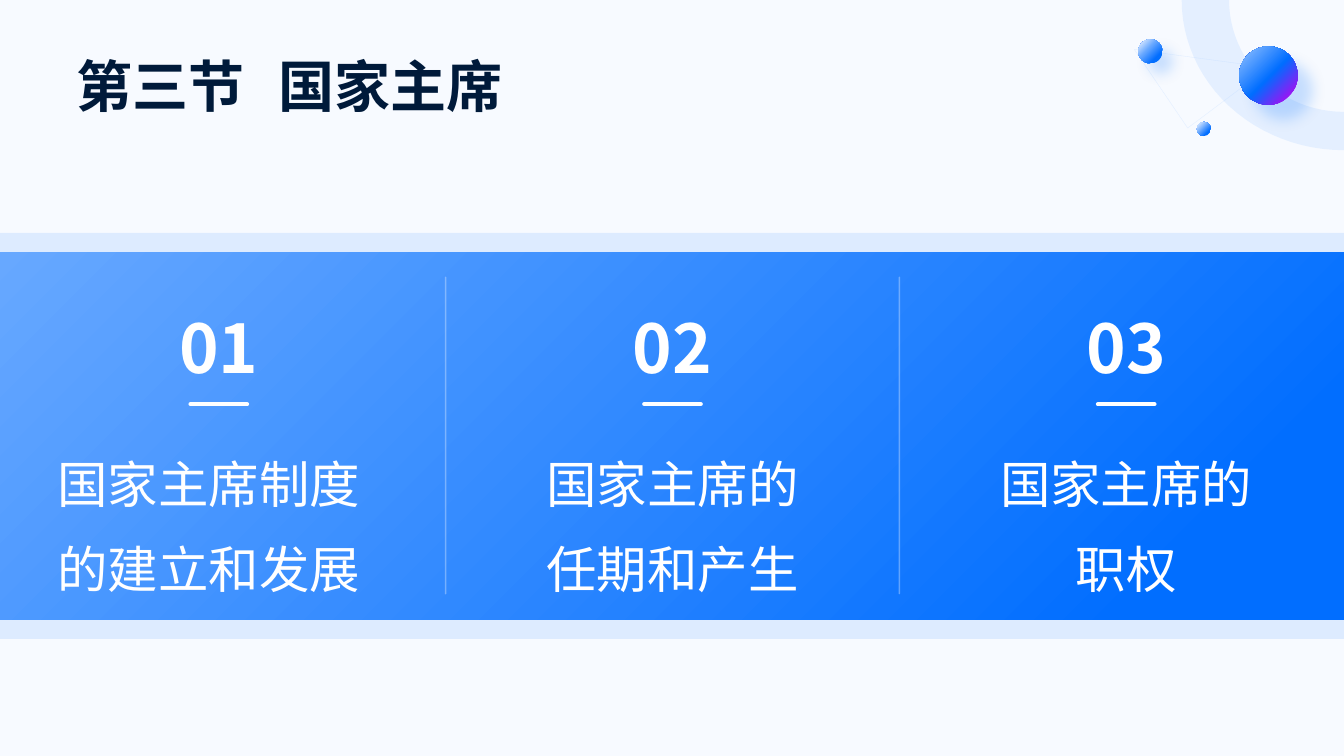
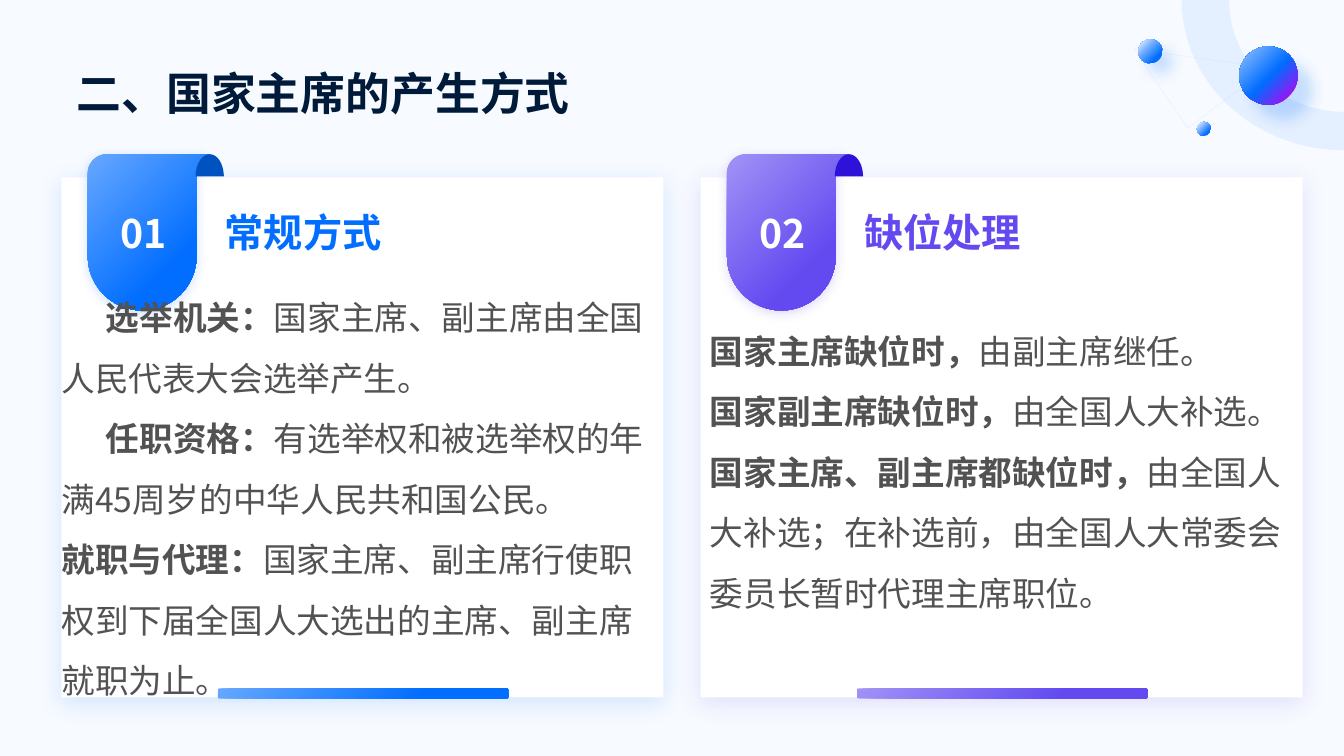
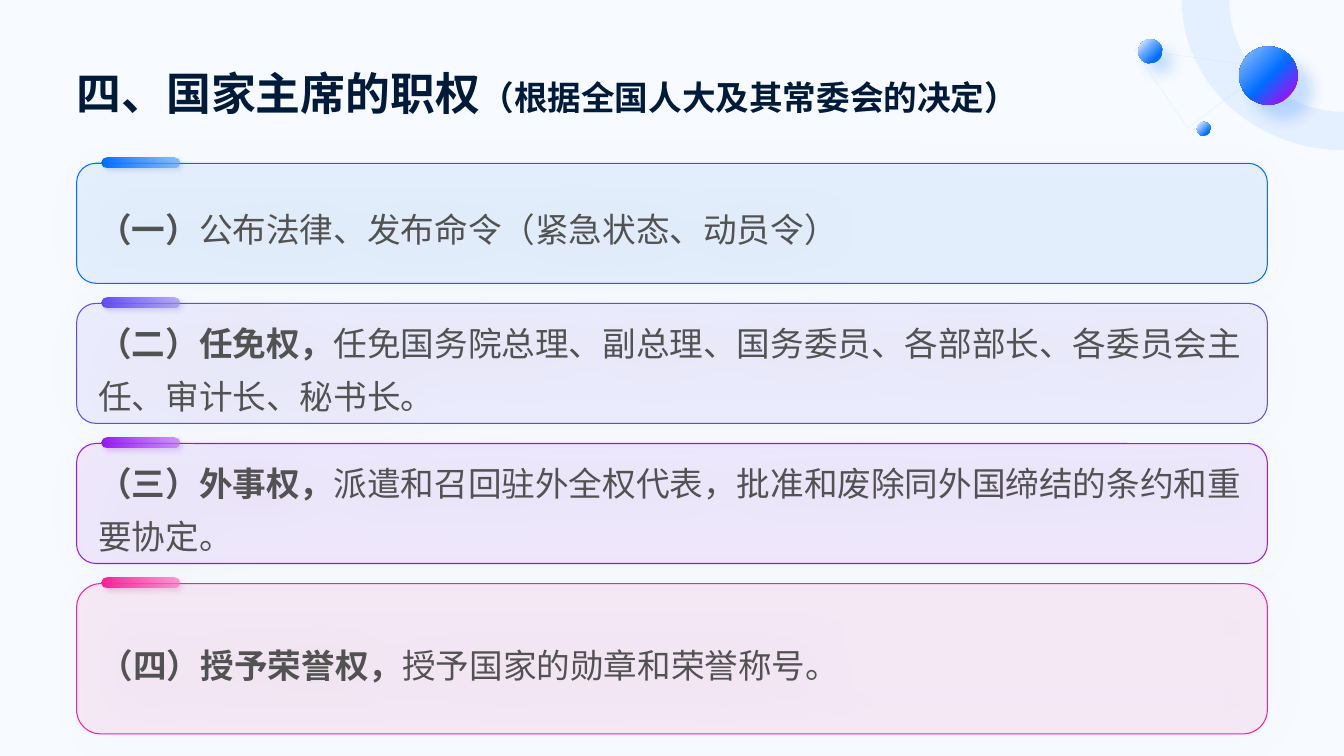
"""Build three slides on the office of state president."""
from math import cos, radians, sin

from pptx import Presentation
from pptx.dml.color import RGBColor
from pptx.enum.lang import MSO_LANGUAGE_ID
from pptx.enum.shapes import MSO_CONNECTOR, MSO_SHAPE
from pptx.enum.text import MSO_ANCHOR, PP_ALIGN
from pptx.oxml import parse_xml
from pptx.oxml.ns import nsdecls, qn
from pptx.util import Inches, Pt

RECT, ROUND, OVAL = MSO_SHAPE.RECTANGLE, MSO_SHAPE.ROUNDED_RECTANGLE, MSO_SHAPE.OVAL
LINE = MSO_CONNECTOR.STRAIGHT
MID, LOW = MSO_ANCHOR.MIDDLE, MSO_ANCHOR.BOTTOM
LEFT, MIDST = PP_ALIGN.LEFT, PP_ALIGN.CENTER
CHINESE = MSO_LANGUAGE_ID.SIMPLIFIED_CHINESE

WHITE = RGBColor(0xFF, 0xFF, 0xFF)
BLACK = RGBColor(0x00, 0x00, 0x00)
PAPER = RGBColor(0xF7, 0xFA, 0xFF)
NAVY = RGBColor(0x00, 0x1A, 0x3A)
GREY = RGBColor(0x52, 0x52, 0x52)
BLUE = RGBColor(0x01, 0x6E, 0xFF)
SKY = RGBColor(0x67, 0xA8, 0xFF)
MIST = RGBColor(0x99, 0xC5, 0xFF)
ICE = RGBColor(0xCC, 0xE2, 0xFF)
DEEP = RGBColor(0x00, 0x52, 0xC0)
IRIS = RGBColor(0x62, 0x4A, 0xF0)
LILAC = RGBColor(0xA1, 0x92, 0xF6)
INK = RGBColor(0x2F, 0x12, 0xD9)
PLUM = RGBColor(0x96, 0x18, 0xF4)
MAUVE = RGBColor(0xC0, 0x74, 0xF8)
GRAPE = RGBColor(0x72, 0x09, 0xC0)
PINK = RGBColor(0xF7, 0x21, 0x9B)
ROSE = RGBColor(0xFA, 0x7A, 0xC3)
WINE = RGBColor(0xCB, 0x07, 0x77)

SANS = "Noto Sans CJK SC"
BOLD = {"bold": True}
SPACE = nsdecls("a")
TINT = '<a:srgbClr val="{}"><a:alpha val="{:.0f}"/></a:srgbClr>'


def paint(shape, stops=(), angle=None, edge=None, glow=None):
    """Set fill stops, line and shadow; a gradient without angle is round."""
    props = shape.element.spPr
    if stops:
        tints = [(pos, TINT.format(hue, (dim or [100])[0] * 1000)) for pos, hue, *dim in stops]
        if len(tints) == 1:
            shape.fill.solid()
            tag, inner = "a:solidFill", tints[0][1]
        else:
            shape.fill.gradient()
            tag = "a:gradFill"
            inner = "".join(f'<a:gs pos="{pos * 1000}">{tint}</a:gs>' for pos, tint in tints)
            inner = f"<a:gsLst>{inner}</a:gsLst>"
            if angle is None:
                inner += '<a:path path="circle"><a:fillToRect r="100000" b="100000"/></a:path>'
            else:
                inner += f'<a:lin ang="{angle * 60000}" scaled="0"/>'
        props.replace(props.find(qn(tag)), parse_xml(f"<{tag} {SPACE}>{inner}</{tag}>"))
    if edge:
        hue, width, dim = edge
        shape.line.color.rgb = hue
        shape.line.width = Pt(width)
        tone = props.find(qn("a:ln")).find(qn("a:solidFill"))[0]
        tone.append(parse_xml(f'<a:alpha {SPACE} val="{dim * 1000}"/>'))
    else:
        shape.line.fill.background()
    cast = ""
    if glow:
        hue, dim, blur, dist, turn = glow
        cast = (f'<a:outerShdw blurRad="{Pt(blur)}" dist="{Pt(dist)}" dir="{turn * 60000}" '
                f'rotWithShape="0">{TINT.format(hue, dim * 1000)}</a:outerShdw>')
    props.append(parse_xml(f"<a:effectLst {SPACE}>{cast}</a:effectLst>"))


def write(shape, paras, size, hue, look=None, frame=None, lines=None, face=SANS):
    """Fill a shape with paragraphs, each a list of (text, format) runs."""
    body = shape.text_frame
    flat = {"margin_left": 0, "margin_top": 0, "margin_right": 0, "margin_bottom": 0}
    for key, value in {"word_wrap": True, **flat, **(frame or {})}.items():
        setattr(body, key, value)
    for spot, runs in enumerate(paras):
        para = body.add_paragraph() if spot else body.paragraphs[0]
        for key, value in {"alignment": LEFT, **(lines or {})}.items():
            setattr(para, key, value)
        for text, own in runs:
            run = para.add_run()
            run.text = text
            base = {"size": Pt(size), "name": face, "bold": False, "language_id": CHINESE}
            for key, value in {**base, **(look or {}), **own}.items():
                setattr(run.font, key, value)
            run.font.color.rgb = hue
            run.font.element.append(parse_xml(f'<a:ea {SPACE} typeface="{face}"/>')) if hasattr(
                run.font, "element") else run._r.rPr.append(
                parse_xml(f'<a:ea {SPACE} typeface="{face}"/>'))


ARCS = {
    "ring": [(13.33, 0, 1.61, 1.49, 180, 90), (13.33, 0, 1.14, 1.11, 90, 180)],
    "flag": [(0.19, 1.72, 0.19, 0.19, 180, 270), (1.21, 1.72, 0.13, 0.19, 270, 180),
             (0.54, 2.54, 0.54, 0.54, 0, 180)],
    "curl": [(1.21, 1.75, 0.14, 0.22, 180, 360)],
}
STEPS = 24
dots = {"wire": [(11.25, 0.49), (12.58, 0.67), (11.78, 1.27)]}
for name, arcs in ARCS.items():
    dots[name] = []
    for x, y, wide, high, start, end in arcs:
        for step in range(STEPS + 1):
            turn = radians(start + (end - start) * step / STEPS)
            dots[name].append((x + wide * cos(turn), y + high * sin(turn)))

deck = Presentation()
deck.slide_width, deck.slide_height = Inches(13.33), Inches(7.5)
master = deck.slide_master
master.background.fill.solid()
master.background.fill.fore_color.rgb = PAPER

TITLES = [
    (40, SANS, [("第三节\t国家主席", {})]),
    (32, "Arial", [("二、国家主席的产生方式", {})]),
    (32, "Arial", [("四、国家主席的职权", {}),
                   ("（根据全国人大及其常委会的决定）", {"size": Pt(24)})]),
]
slides = [deck.slides.add_slide(deck.slide_layouts[6]) for title in TITLES]
first, second, third = [slide.shapes for slide in slides]

decor = []
for name in ("wire", "ring"):
    points = [(Inches(x), Inches(y)) for x, y in dots[name]]
    pen = first.build_freeform(*points[0])
    pen.add_line_segments(points[1:], close=True)
    decor.append(pen.convert_to_shape())
wire, ring = decor
wire.fill.background()
paint(wire, edge=(ICE, 0.25, 50))
paint(ring, [(0, MIST, 20)])
BALLS = [
    (12.29, 0.46, 0.58, [(0, MIST), (52, BLUE), (85, PLUM)], (BLUE, 20, 10, 15, 45)),
    (11.29, 0.39, 0.24, [(12, ICE), (40, SKY), (75, BLUE)], (BLUE, 20, 10, 10, 45)),
    (11.87, 1.21, 0.14, [(13, ICE), (75, BLUE)], None),
]
for x, y, size, stops, glow in BALLS:
    ball = first.add_shape(OVAL, *map(Inches, (x, y, size, size)))
    paint(ball, stops, glow=glow)
    decor.append(ball)
for mark, shape in enumerate(decor, 20):
    shape.element.nvSpPr.cNvPr.set("id", str(mark))
    master.shapes.element.append(shape.element)

for slide, (size, face, runs) in zip(slides, TITLES):
    title = slide.shapes.add_textbox(*map(Inches, (0.76, 0.39, 11.81, 0.79)))
    write(title, [runs], size, NAVY, BOLD, {"vertical_anchor": LOW}, face=face)
    if "\t" in runs[0][0]:
        stop = f'<a:tabLst {SPACE}><a:tab pos="{Inches(2)}" algn="l"/></a:tabLst>'
        title.text_frame.paragraphs[0]._p.get_or_add_pPr().append(parse_xml(stop))

band = first.add_shape(RECT, *map(Inches, (0, 2.31, 13.33, 4.03)))
paint(band, [(0, BLUE, 10)])
strip = first.add_shape(RECT, *map(Inches, (0, 2.5, 13.33, 3.65)))
paint(strip, [(13, BLUE), (100, SKY)], 225)
TOPICS = [("国家主席制度的建立和发展", 0.42, 3.3), ("国家主席的任期和产生", 5.37, 2.6),
          ("国家主席的职权", 9.87, 2.6)]
for spot, (text, x, wide) in enumerate(TOPICS):
    left = 0.87 + 4.5 * spot
    rules = [(left + 1.02, 4.01, left + 1.58, 4.01, 3, 100)]
    if spot:
        rules.append((left - 0.95, 2.75, left - 0.95, 5.89, 1, 33))
    for *ends, width, dim in rules:
        rule = first.add_connector(LINE, *map(Inches, ends))
        paint(rule, edge=(WHITE, width, dim))
        rule.element.spPr.find(qn("a:ln")).set("cap", "rnd")
    topic = first.add_textbox(*map(Inches, (x, 4.26, wide, 1.71)))
    write(topic, [[(text, {})]], 36, WHITE, lines={"alignment": MIDST, "line_spacing": 1.4})
    count = first.add_textbox(*map(Inches, (left, 3.02, 2.6, 0.82)))
    write(count, [[(f"{spot + 1:02}", {})]], 48, WHITE, BOLD,
          {"vertical_anchor": LOW}, {"alignment": MIDST})

PANELS = [
    (0.61, BLUE, SKY, DEEP, "常规方式", (0.61, 2.75, 5.86, 4.17), 2, [
        ("选举机关：", "国家主席、副主席由全国人民代表大会选举产生。"),
        ("任职资格：", "有选举权和被选举权的年满45周岁的中华人民共和国公民。"),
        ("就职与代理：", "国家主席、副主席行使职权到下届全国人大选出的主席、副主席就职为止。")]),
    (6.95, IRIS, LILAC, INK, "缺位处理", (7.04, 3.08, 5.88, 3.67), 0, [
        ("国家主席缺位时，", "由副主席继任。"),
        ("国家副主席缺位时，", "由全国人大补选。"),
        ("国家主席、副主席都缺位时，",
         "由全国人大补选；在补选前，由全国人大常委会委员长暂时代理主席职位。")]),
]
for spot, (left, hue, pale, dark, head, box, dents, pairs) in enumerate(PANELS, 1):
    panel = second.add_shape(RECT, *map(Inches, (left, 1.76, 5.97, 5.16)))
    paint(panel, [(0, WHITE)], glow=(hue, 15, 17, 4, 90))
    blend = [(0, pale), (71, hue)]
    looks = {"flag": (blend, 45, None, (hue, 20, 8, 2, 90)), "curl": ([(0, dark)],)}
    for name, look in looks.items():
        points = [(Inches(left + 0.26 + x), Inches(y)) for x, y in dots[name]]
        pen = second.build_freeform(*points[0])
        pen.add_line_segments(points[1:], close=True)
        piece = pen.convert_to_shape()
        paint(piece, *look)
        if name == "flag":
            write(piece, [[(f"{spot:02}", {})]], 28, WHITE, BOLD,
                  {"vertical_anchor": MID, "margin_left": Inches(0.1),
                   "margin_right": Inches(0.2)}, {"alignment": MIDST})
    bar = second.add_shape(ROUND, *map(Inches, (left + 1.55, 6.83, 2.88, 0.1)))
    paint(bar, blend, 45)
    label = second.add_textbox(*map(Inches, (left + 1.62, 2.07, 3.81, 1.02)))
    write(label, [[(head, {})]], 28, hue, BOLD)
    note = second.add_textbox(*map(Inches, box))
    write(note, [[(lead, BOLD), (rest, {})] for lead, rest in pairs], 24, GREY,
          lines={"line_spacing": 1.5})
    for para in note.text_frame.paragraphs[:dents]:
        para._p.get_or_add_pPr().set("indent", str(Inches(0.44)))

CARDS = [
    (BLUE, SKY, DEEP, 1.19, "（一）", "公布法律、发布命令（紧急状态、动员令）"),
    (IRIS, LILAC, INK, 1.19, "（二）任免权，",
     "任免国务院总理、副总理、国务委员、各部部长、各委员会主任、审计长、秘书长。"),
    (PLUM, MAUVE, GRAPE, 1.19, "（三）外事权，",
     "派遣和召回驻外全权代表，批准和废除同外国缔结的条约和重要协定。"),
    (PINK, ROSE, WINE, 1.49, "（四）授予荣誉权，", "授予国家的勋章和荣誉称号。"),
]
for spot, (hue, pale, dark, high, lead, rest) in enumerate(CARDS):
    top = 1.62 + 1.39 * spot
    card = third.add_shape(ROUND, *map(Inches, (0.76, top, 11.81, high)))
    card.adjustments[0] = 0.16
    paint(card, [(0, pale, 12)], edge=(hue, 0.75, 100), glow=(BLACK, 7, 35, 3, 45))
    write(card, [[(lead, BOLD), (rest, {})]], 24, GREY,
          frame={"vertical_anchor": MID, "margin_left": Inches(0.16),
                 "margin_right": Inches(0.16)}, lines={"line_spacing": 1.3})
    tab = third.add_shape(ROUND, *map(Inches, (1.01, top - 0.06, 0.77, 0.1)))
    tab.adjustments[0] = 0.5
    paint(tab, [(0, hue), (100, pale, 71)], 0, glow=(dark, 20, 4, 3, 45))

deck.save("out.pptx")
